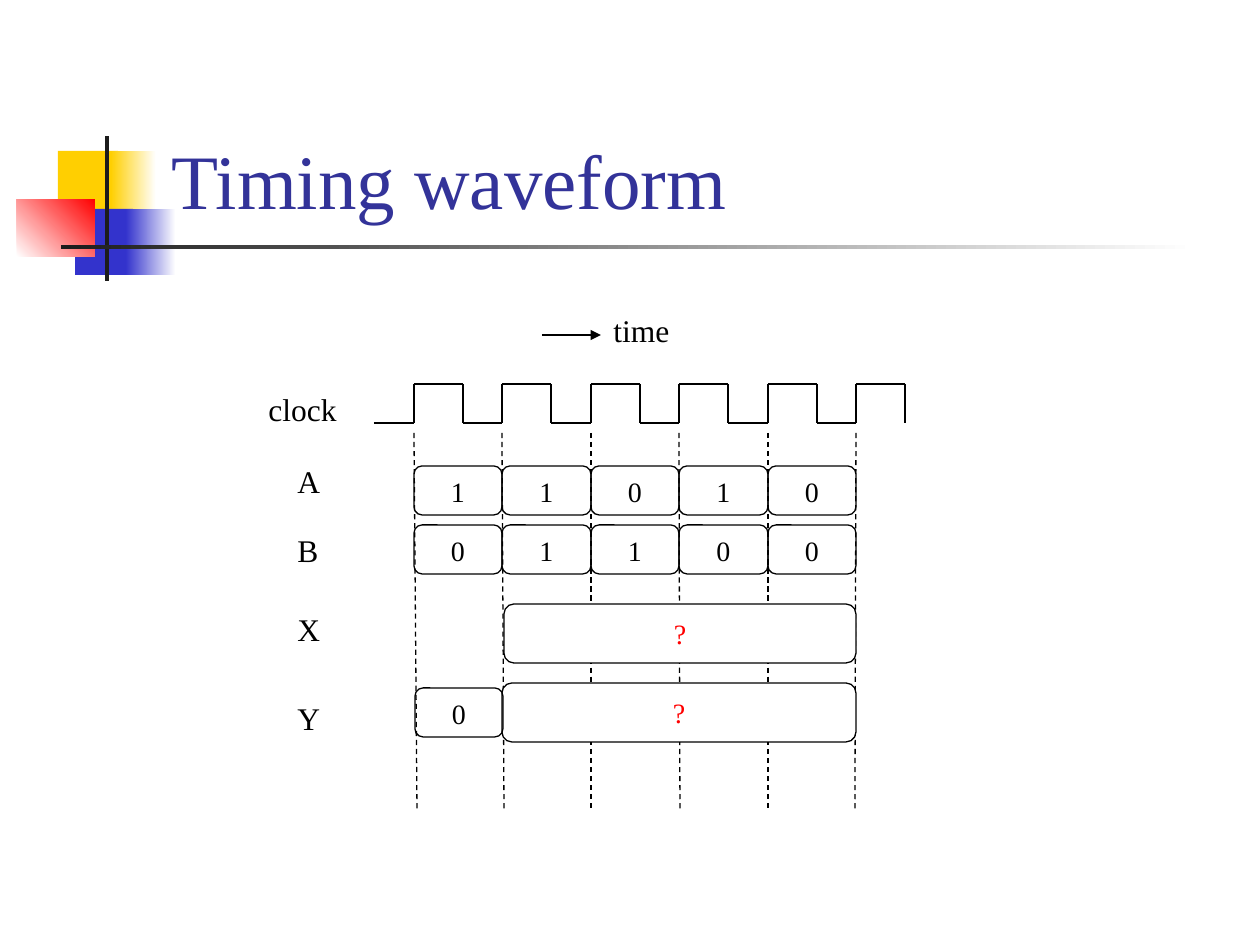
"""Build the timing waveform slide."""
from itertools import pairwise

from lxml import etree
from pptx import Presentation
from pptx import util as u
from pptx.dml.color import RGBColor
from pptx.enum import dml, shapes, text
from pptx.oxml.ns import qn

SCALE = 914400 / 126
COLORS = {"ink": "000000", "white": "FFFFFF", "title": "333399", "yellow": "FFCF01",
          "blue": "3333CC", "red": "FF0000", "bar": "1C1C1C"}


def px(n):
    return u.Emu(round(n * SCALE))


def rgb(name):
    return RGBColor.from_string(COLORS[name])


class Canvas:
    font = "Times New Roman"
    line_width = u.Pt(0.75)

    def __init__(self, slide):
        self.s = slide

    def set_text(self, sp, words, size, color="ink", align=None, **frame):
        tf = sp.text_frame
        for key, value in frame.items():
            setattr(tf, key, value)
        p = tf.paragraphs[0]
        p.alignment = align
        r = p.add_run()
        r.text = words
        for key, value in {"name": self.font, "size": u.Pt(size)}.items():
            setattr(r.font, key, value)
        r.font.color.rgb = rgb(color)

    def label(self, words, x, y, w, h=50, size=18, color="ink", **frame):
        sp = self.s.shapes.add_textbox(px(x), px(y), px(w), px(h))
        style = {"word_wrap": False, "auto_size": text.MSO_AUTO_SIZE.SHAPE_TO_FIT_TEXT}
        self.set_text(sp, words, size, color, **{**style, **frame})

    def block(self, x, y, w, h, first, last=None, angle=0):
        sp = self.s.shapes.add_shape(shapes.MSO_SHAPE.RECTANGLE, px(x), px(y), px(w), px(h))
        sp.shadow.inherit = False
        sp.line.fill.background()
        if last is None:
            sp.fill.solid()
            sp.fill.fore_color.rgb = rgb(first)
            return
        sp.fill.gradient()
        sp.fill.gradient_angle = angle
        for stop, color, position in zip(sp.fill.gradient_stops, (first, last), (0, 1)):
            stop.color.rgb = rgb(color)
            stop.position = position

    def cell(self, words, x, y, w, h, color="ink", fill=None, anchor=text.MSO_ANCHOR.TOP):
        sp = self.s.shapes.add_shape(shapes.MSO_SHAPE.ROUNDED_RECTANGLE,
                                     px(x), px(y), px(w), px(h))
        sp.shadow.inherit = False
        if fill:
            sp.fill.solid()
            sp.fill.fore_color.rgb = rgb(fill)
        else:
            sp.fill.background()
        sp.line.color.rgb = rgb("ink")
        sp.line.width = self.line_width
        self.set_text(sp, words, 16, color, text.PP_ALIGN.CENTER, vertical_anchor=anchor)

    def line(self, start, end, dash=None, arrow=False):
        c = self.s.shapes.add_connector(shapes.MSO_CONNECTOR.STRAIGHT,
                                        *map(px, (*start, *end)))
        c.line.color.rgb = rgb("ink")
        for key, value in {"width": self.line_width, "dash_style": dash}.items():
            setattr(c.line, key, value)
        if arrow:
            etree.SubElement(c._element.spPr.find(qn("a:ln")), qn("a:tailEnd"), type="triangle")
        etree.SubElement(c._element.spPr, qn("a:effectLst"))


def main():
    prs = Presentation()
    prs.slide_width, prs.slide_height = u.Inches(10), u.Inches(7.5)
    canvas = Canvas(prs.slides.add_slide(prs.slide_layouts[6]))

    for block in [
        (58, 151, 60, 66, "yellow"),
        (111, 151, 45, 66, "yellow", "white"),
        (75, 209, 58, 66, "blue"),
        (126, 209, 50, 66, "blue", "white"),
        (17, 199, 78, 58, "white", "red", 45),
        (105, 136, 4, 145, "bar"),
        (61, 245, 1134, 4, "bar", "white"),
    ]:
        canvas.block(*block)
    canvas.label("Timing waveform", 159, 29, 1074, 202, 44, "title", word_wrap=True,
                 auto_size=text.MSO_AUTO_SIZE.NONE, vertical_anchor=text.MSO_ANCHOR.BOTTOM)

    edges = [round(413.5 + 88.6 * i) for i in range(6)]
    high, low, pulse = 384, 423, 49
    wave = [(374, low)]
    for x in edges:
        wave += [(x, low), (x, high), (x + pulse, high), (x + pulse, low)]
    for start, end in pairwise(wave):
        canvas.line(start, end)

    for top, bottom in zip(edges, (417, 504, 591, 680, 768, 855)):
        canvas.line((top, 433), (bottom, 810), dash=dml.MSO_LINE.DASH)

    for y, bits in ((466, "11010"), (525, "01100")):
        for bit, (left, right) in zip(bits, pairwise(edges)):
            canvas.cell(bit, left, y, right - left, 49)
    for x, y in ((504, 604), (502, 683)):
        canvas.cell("?", x, y, edges[-1] - x, 59, "red", "white", text.MSO_ANCHOR.MIDDLE)
    canvas.cell("0", 415, 688, 88, 49)

    for words, x, y, w in [("clock", 256, 384, 94), ("A", 285, 456, 48), ("B", 285, 525, 47),
                           ("X", 285, 604, 48), ("Y", 285, 693, 48), ("time", 601, 305, 82)]:
        canvas.label(words, x, y, w)
    canvas.line((542, 335), (601, 335), arrow=True)

    prs.save("out.pptx")


if __name__ == "__main__":
    main()
